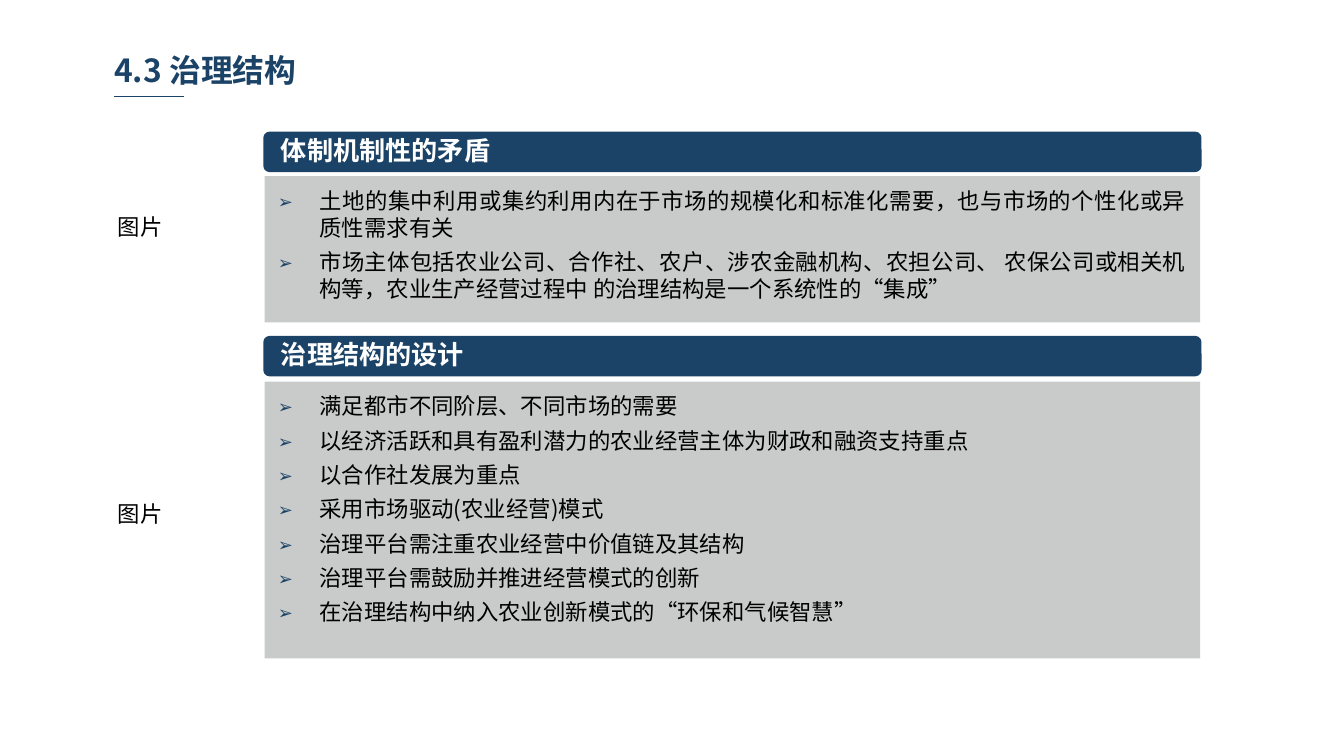
from lxml import etree
from pptx import Presentation
from pptx.dml.color import RGBColor
from pptx.enum.shapes import MSO_CONNECTOR, MSO_SHAPE
from pptx.enum.text import MSO_ANCHOR, MSO_AUTO_SIZE, PP_ALIGN
from pptx.oxml.ns import qn
from pptx.util import Inches, Pt

RECT, ROUNDED = MSO_SHAPE.RECTANGLE, MSO_SHAPE.ROUNDED_RECTANGLE
TOP, MIDDLE = MSO_ANCHOR.TOP, MSO_ANCHOR.MIDDLE
LEFT, CENTER, JUSTIFY = PP_ALIGN.LEFT, PP_ALIGN.CENTER, PP_ALIGN.JUSTIFY
FONT = "Noto Sans CJK SC"
NAVY, GREY, BLACK, WHITE = "1B4367", "C9CACA", "000000", "FFFFFF"

PANEL_LEFT, PANEL_WIDTH = 1.97, 6.96
HEADER_HEIGHT = 0.28
LABEL_LEFT, LABEL_WIDTH, LABEL_HEIGHT = 0.43, 1.23, 1.2
BODY_INSETS = (0.1, 0.08, 0.1, 0.05)

# header top, body top, body height, label top, heading, points
SECTIONS = [
    (0.99, 1.31, 1.09, 1.07, "体制机制性的矛盾", [
        "土地的集中利用或集约利用内在于市场的规模化和标准化需要，也与市场的个性化或异质性需求有关",
        "市场主体包括农业公司、合作社、农户、涉农金融机构、农担公司、 农保公司或相关机构等，"
        "农业生产经营过程中 的治理结构是一个系统性的“集成”",
    ]),
    (2.51, 2.84, 2.06, 3.21, "治理结构的设计", [
        "满足都市不同阶层、不同市场的需要",
        "以经济活跃和具有盈利潜力的农业经营主体为财政和融资支持重点",
        "以合作社发展为重点",
        "采用市场驱动(农业经营)模式",
        "治理平台需注重农业经营中价值链及其结构",
        "治理平台需鼓励并推进经营模式的创新",
        "在治理结构中纳入农业创新模式的“环保和气候智慧”",
    ]),
]


def color(hex_string):
    return RGBColor.from_string(hex_string)


def write(box, lines, size=12, ink=BLACK, bold=False, align=LEFT, anchor=TOP,
          insets=BODY_INSETS, before=0, after=0, spacing=1.0, bullet=None):
    frame = box.text_frame
    frame.word_wrap = True
    frame.auto_size = MSO_AUTO_SIZE.NONE
    frame.vertical_anchor = anchor
    (frame.margin_left, frame.margin_top,
     frame.margin_right, frame.margin_bottom) = map(Inches, insets)
    for index, line in enumerate(lines):
        para = frame.add_paragraph() if index else frame.paragraphs[0]
        para.alignment = align
        para.line_spacing = spacing
        para.space_before, para.space_after = Pt(before), Pt(after)
        span = para.add_run()
        span.text = line
        span.font.name, span.font.size, span.font.bold = FONT, Pt(size), bold
        span.font.color.rgb = color(ink)
        etree.SubElement(span.font._element, qn("a:ea"), typeface=FONT)
        if bullet:
            props = para._p.get_or_add_pPr()
            props.set("marL", str(Inches(0.31)))
            props.set("indent", str(-Inches(0.31)))
            tint = etree.SubElement(props, qn("a:buClr"))
            etree.SubElement(tint, qn("a:srgbClr"), val=NAVY)
            etree.SubElement(props, qn("a:buSzPct"), val="80000")
            etree.SubElement(props, qn("a:buFont"), typeface=FONT)
            etree.SubElement(props, qn("a:buChar"), char=bullet)


deck = Presentation()
deck.slide_width = Inches(10)
deck.slide_height = deck.slide_width * 9 // 16
page = deck.slides.add_slide(deck.slide_layouts[5])
shapes = page.shapes

title = shapes.title
title.left, title.top, title.width, title.height = map(Inches, (0.78, 0.34, 2.47, 0.36))
write(title, ["4.3 治理结构"], size=17, ink=NAVY, bold=True,
      insets=(0.07, 0.04, 0.07, 0.04))

underline = shapes.add_connector(MSO_CONNECTOR.STRAIGHT,
                                 *map(Inches, (0.85, 0.72, 1.37, 0.72)))
underline.line.color.rgb = color(NAVY)
underline.line.width = Pt(0.75)
etree.SubElement(underline._element.spPr, qn("a:effectLst"))

for header_top, body_top, body_height, label_top, heading, points in SECTIONS:
    label = shapes.add_textbox(*map(Inches, (LABEL_LEFT, label_top, LABEL_WIDTH, LABEL_HEIGHT)))
    write(label, ["图片"], align=CENTER, anchor=MIDDLE, before=3)

    body = shapes.add_shape(RECT, *map(Inches, (PANEL_LEFT, body_top, PANEL_WIDTH, body_height)))
    body.shadow.inherit = False
    body.fill.solid()
    body.fill.fore_color.rgb = color(GREY)
    body.line.fill.background()
    write(body, points, align=JUSTIFY, before=4, bullet="➢")

    header = shapes.add_shape(
        ROUNDED, *map(Inches, (PANEL_LEFT, header_top, PANEL_WIDTH, HEADER_HEIGHT)))
    header.adjustments[0] = 0.13
    header.shadow.inherit = False
    header.fill.solid()
    header.fill.fore_color.rgb = color(NAVY)
    header.line.color.rgb = color(NAVY)
    header.line.width = Pt(1.5)
    write(header, [heading], size=14, ink=WHITE, bold=True, anchor=MIDDLE,
          insets=(0.11, 0, 0.11, 0), after=5, spacing=0.9)

deck.save("out.pptx")
